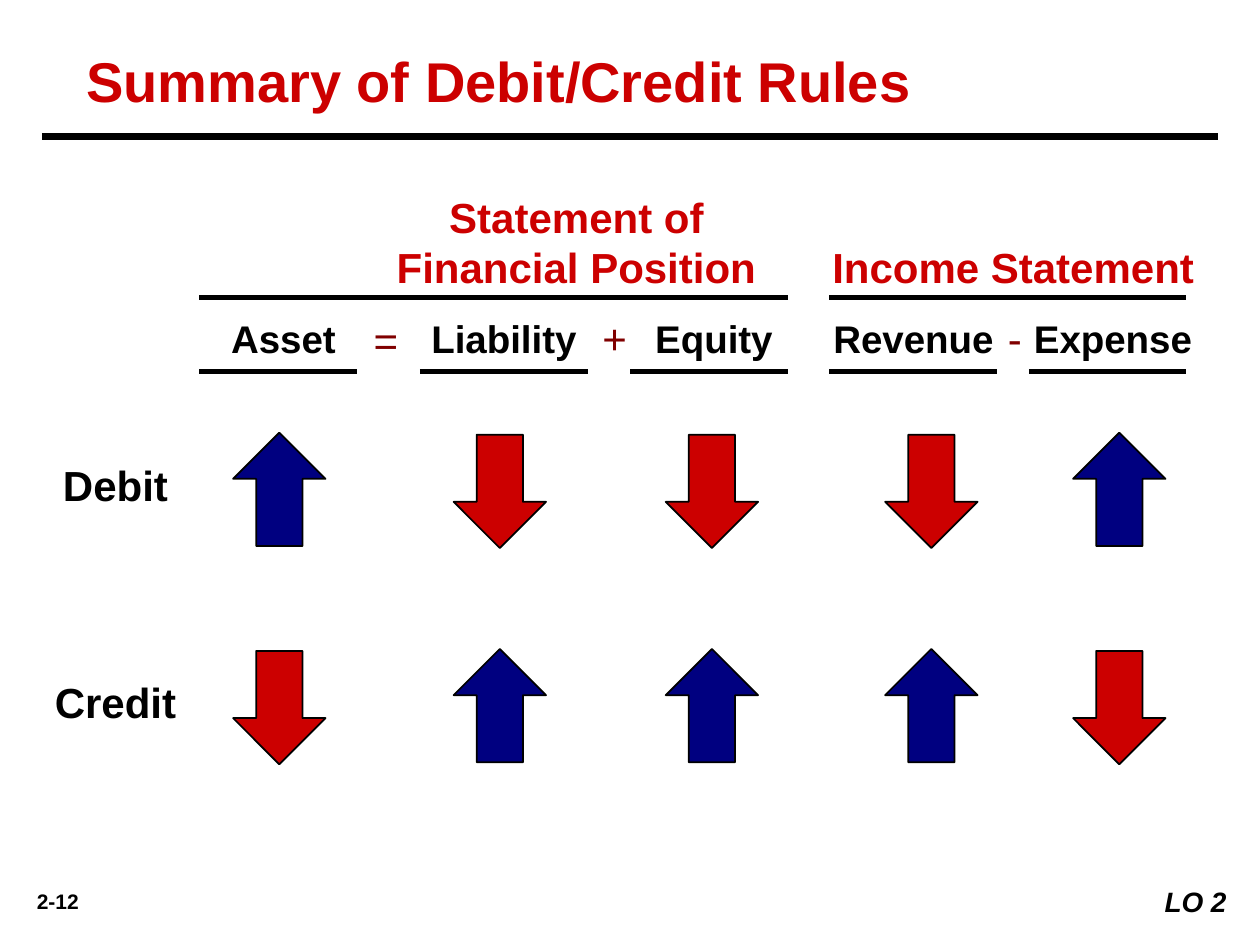
import dataclasses

import pptx
import pptx.dml.color
import pptx.enum.shapes
import pptx.enum.text
import pptx.oxml
import pptx.oxml.ns
import pptx.util

PX = 7620  # EMU in one px: 120 px to the inch
ALIGN = pptx.enum.text.PP_ALIGN
ANCHOR = pptx.enum.text.MSO_ANCHOR
SHAPE = pptx.enum.shapes.MSO_SHAPE


@dataclasses.dataclass(frozen=True)
class Theme:
    font: str = "Arial"
    black: str = "000000"
    white: str = "FFFFFF"
    red: str = "CC0000"
    maroon: str = "800000"
    navy: str = "000080"
    title: int = 32
    heading: int = 24
    account: int = 22
    objective: int = 16
    number: int = 12


THEME = Theme()

# Account, label centre, rule start and end, arrow centre, rises on debit
ACCOUNTS = [
    ("Asset", 270, 190, 340, 266, True),
    ("Liability", 480, 400, 560, 476, False),
    ("Equity", 680, 600, 750, 678, False),
    ("Revenue", 870, 790, 950, 887, False),
    ("Expense", 1060, 980, 1130, 1066, True),
]
# Statement, text box, rule start and end
STATEMENTS = [
    ("Statement of Financial Position", (344, 176, 410, 109), 190, 750),
    ("Income Statement", (770, 224, 390, 60), 790, 1130),
]
# Operator, left, top, width
OPERATORS = [("=", 344, 294, 58), ("+", 562, 292, 58), ("-", 948, 292, 52)]


def colour(value):
    return pptx.dml.color.RGBColor.from_string(value)


def emu(*lengths):
    return [pptx.util.Emu(length * PX) for length in lengths]


def write(page, text, box, size, color=THEME.black, bold=True, italic=False,
          align=ALIGN.CENTER, anchor=ANCHOR.TOP, holder=None):
    """Write text in a new text box, or in the given holder moved to the box."""
    if holder is None:
        holder = page.shapes.add_textbox(*emu(*box))
    else:
        holder.left, holder.top, holder.width, holder.height = emu(*box)
    frame = holder.text_frame
    frame.word_wrap = True
    frame.auto_size = pptx.enum.text.MSO_AUTO_SIZE.NONE
    frame.vertical_anchor = anchor
    para = frame.paragraphs[0]
    para.alignment = align
    span = para.add_run()
    span.text = text
    span.font.name = THEME.font
    span.font.size = pptx.util.Pt(size)
    span.font.bold = bold
    span.font.italic = italic
    span.font.color.rgb = colour(color)


def rule(page, start, end, y, width=3):
    line = page.shapes.add_connector(
        pptx.enum.shapes.MSO_CONNECTOR.STRAIGHT, *emu(start, y, end, y))
    line.line.color.rgb = colour(THEME.black)
    line.line.width = pptx.util.Pt(width)
    properties = line._element.spPr
    properties.append(pptx.oxml.parse_xml(
        "<a:effectLst %s/>" % pptx.oxml.ns.nsdecls("a")))


def arrow(page, centre, top, rises):
    width, height = 88, 108
    shape = page.shapes.add_shape(
        SHAPE.DOWN_ARROW, *emu(centre - width // 2, top, width, height))
    shape.rotation = 180 if rises else 0
    shape.shadow.inherit = False
    shape.fill.solid()
    shape.fill.fore_color.rgb = colour(THEME.navy if rises else THEME.red)
    shape.line.color.rgb = colour(THEME.black)
    shape.line.width = pptx.util.Pt(1)


def header(page, box):
    left, top, width, height = box
    write(page, "Summary of Debit/Credit Rules", (left + 30, top, 1000, 73),
          THEME.title, THEME.red, align=ALIGN.LEFT, anchor=ANCHOR.MIDDLE,
          holder=page.shapes.title)
    rule(page, left, left + width, top + height, 4.5)


def equation(page, box):
    """Statement headings over the accounts and the signs between them."""
    left, top, _, height = box
    for text, (x, y, width, tall), start, end in STATEMENTS:
        write(page, text, (left + x, top + y - 176, width, tall),
              THEME.heading, THEME.red)
        rule(page, left + start, left + end, top + 107)
    for text, x, y, width in OPERATORS:
        write(page, text, (left + x, top + y - 176, width, 60),
              THEME.heading, THEME.maroon, bold=False, align=ALIGN.LEFT)
    for text, centre, start, end, _, _ in ACCOUNTS:
        write(page, text, (left + centre - 90, top + 118, 180, 56), THEME.account)
        rule(page, left + start, left + end, top + height)


def effect_row(page, box, label, is_debit):
    """A side of the entry and the way it moves each account."""
    left, top, _, _ = box
    write(page, label, (left + 20, top + 20, 180, 60), THEME.heading)
    for _, _, _, _, centre, rises_on_debit in ACCOUNTS:
        rises = rises_on_debit == is_debit
        arrow(page, left + centre, top + (0 if rises else 2), rises)


def footer(page, box):
    left, top, width, _ = box
    write(page, "2-12", (left + 10, top + 4, 90, 36), THEME.number)
    panel = page.shapes.add_shape(SHAPE.RECTANGLE, 0, 0, 0, 0)
    panel.shadow.inherit = False
    panel.fill.solid()
    panel.fill.fore_color.rgb = colour(THEME.white)
    panel.line.fill.background()
    write(page, "LO 2", (left + width - 140, top, 120, 44), THEME.objective,
          italic=True, align=ALIGN.RIGHT, anchor=ANCHOR.MIDDLE, holder=panel)


def main():
    deck = pptx.Presentation()
    deck.slide_width, deck.slide_height = emu(1200, 900)
    page = deck.slides.add_slide(deck.slide_layouts.get_by_name("Title Only"))
    header(page, (40, 40, 1120, 90))
    equation(page, (0, 176, 1200, 178))
    effect_row(page, (0, 412, 1200, 110), "Debit", True)
    effect_row(page, (0, 618, 1200, 110), "Credit", False)
    footer(page, (0, 836, 1200, 44))
    deck.save("out.pptx")


if __name__ == "__main__":
    main()
